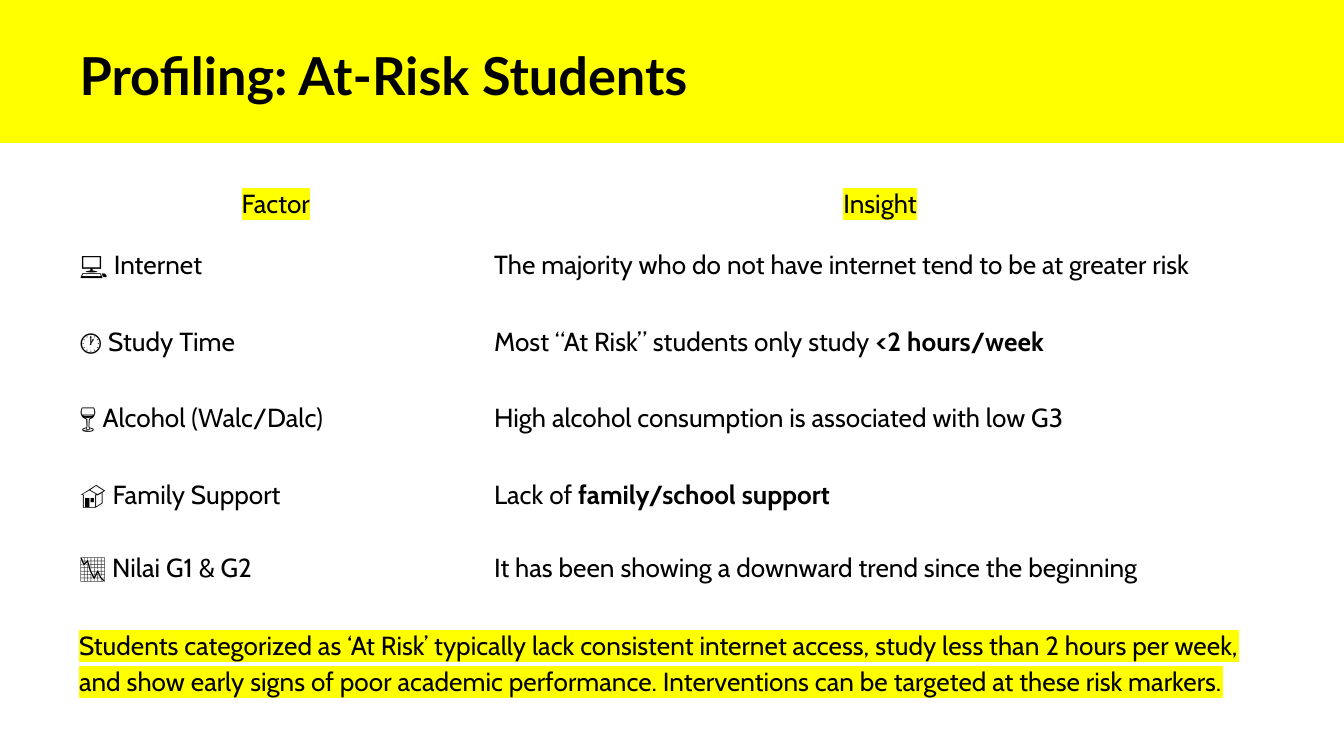
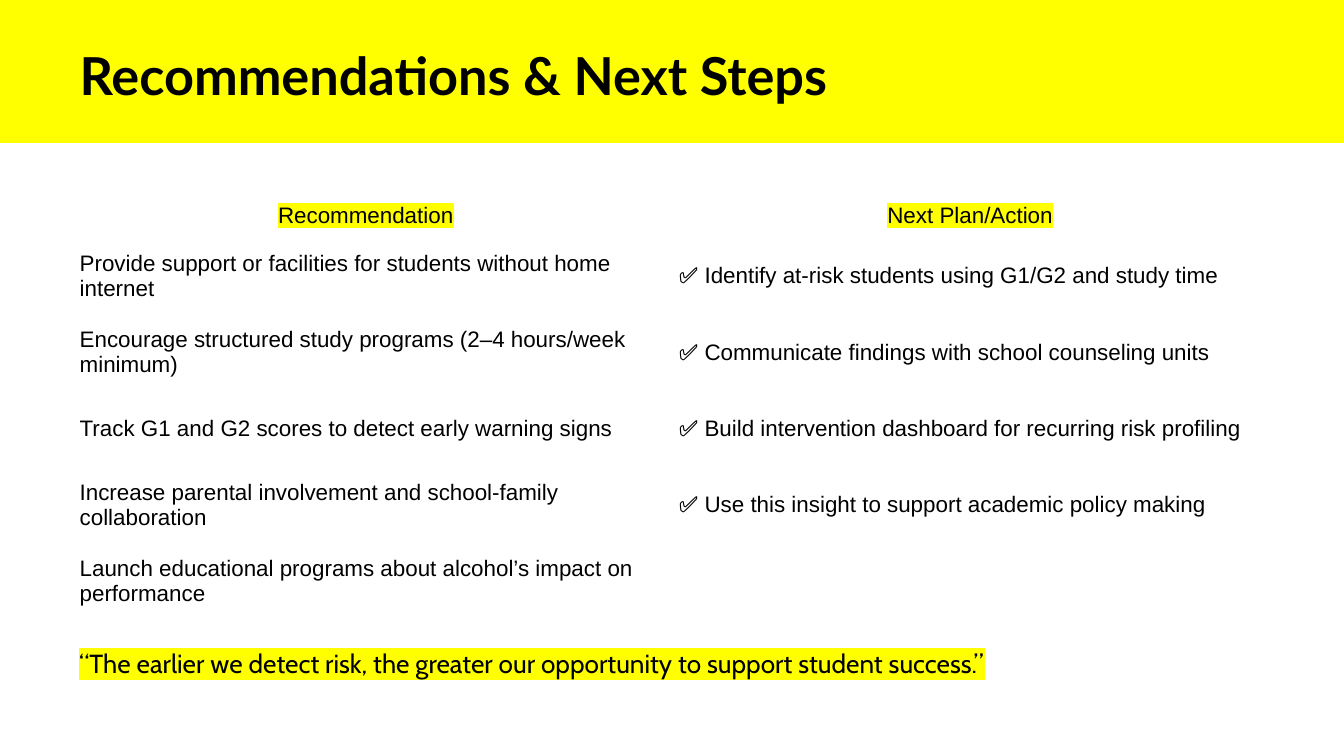
from dataclasses import dataclass

from lxml.etree import SubElement
from pptx import Presentation
from pptx.dml.color import RGBColor
from pptx.enum.shapes import MSO_SHAPE
from pptx.enum.text import MSO_ANCHOR, MSO_AUTO_SIZE, PP_ALIGN
from pptx.oxml.ns import qn
from pptx.util import Pt


@dataclass(frozen=True)
class Theme:
    ink: str = "000000"
    accent: str = "FFFF00"
    title_font: str = "Lato"
    text_font: str = "Cabin"
    plain_font: str = "Arial"
    title_size: float = 28
    text_size: float = 14
    plain_size: float = 12


THEME = Theme()
SLIDE_SIZE = (720, 405)
BAND_BOX = (0, 0, 720, 76.5)
TITLE_BOX = (35.5, 16, 647.5, 44)
CLOSING_BOX = (24.5, 332, 647.5, 44)
FRAME_INSET = 7.2
CELL_INSET = 3.6
HEADER_HEIGHT = 23.75

FACTORS = [
    ("Factor", "Insight"),
    ("💻 Internet", "The majority who do not have internet tend to be at greater risk"),
    ("🕐 Study Time", "Most “At Risk” students only study **<2 hours/week**"),
    ("🍷 Alcohol (Walc/Dalc)", "High alcohol consumption is associated with low G3"),
    ("🏠 Family Support", "Lack of **family/school support**"),
    ("📉 Nilai G1 & G2", "It has been showing a downward trend since the beginning"),
]
RISK_SUMMARY = (
    "Students categorized as ‘At Risk’ typically lack consistent internet access, "
    "study less than 2 hours per week, and show early signs of poor academic "
    "performance. Interventions can be targeted at these risk markers."
)
ACTIONS = [
    ("Recommendation", "Next Plan/Action"),
    ("Provide support or facilities for students without home internet",
     "✅ Identify at-risk students using G1/G2 and study time"),
    ("Encourage structured study programs (2–4 hours/week minimum)",
     "✅ Communicate findings with school counseling units"),
    ("Track G1 and G2 scores to detect early warning signs",
     "✅ Build intervention dashboard for recurring risk profiling"),
    ("Increase parental involvement and school-family collaboration",
     "✅ Use this insight to support academic policy making"),
    ("Launch educational programs about alcohol’s impact on performance", ""),
]
CLOSING_QUOTE = (
    "“The earlier we detect risk, the greater our opportunity to support student success.”"
)


def points(lengths):
    return [Pt(length) for length in lengths]


def write(frame, text, *, font=THEME.text_font, size=THEME.text_size, bold=False,
          highlight=False, align=PP_ALIGN.LEFT, spacing=None, indent=0):
    paragraph = frame.paragraphs[0]
    paragraph.alignment = align
    if spacing:
        paragraph.line_spacing = spacing
    if indent:
        paragraph._p.get_or_add_pPr().set("marL", str(Pt(indent)))
    for position, piece in enumerate(text.split("**")):
        if not piece:
            continue
        run = paragraph.add_run()
        run.text = piece
        run.font.size = Pt(size)
        run.font.bold = bold or position % 2 == 1
        run.font.color.rgb = RGBColor.from_string(THEME.ink)
        run.font.name = font
        if highlight:
            properties = run._r.get_or_add_rPr()
            marker = SubElement(properties, qn("a:highlight"))
            SubElement(marker, qn("a:srgbClr")).set("val", THEME.accent)
            properties.find(qn("a:solidFill")).addnext(marker)


def fit_frame(frame, anchor):
    frame.word_wrap = True
    frame.auto_size = MSO_AUTO_SIZE.NONE
    frame.vertical_anchor = anchor
    frame.margin_left = frame.margin_right = Pt(FRAME_INSET)
    frame.margin_top = frame.margin_bottom = Pt(FRAME_INSET)


def add_heading(slide, text, band_box, title_box):
    band = slide.shapes.add_shape(MSO_SHAPE.RECTANGLE, *points(band_box))
    band.shadow.inherit = False
    band.fill.solid()
    band.fill.fore_color.rgb = RGBColor.from_string(THEME.accent)
    band.line.fill.background()
    title = slide.shapes.title
    title._element.addprevious(band._element)
    title.left, title.top, title.width, title.height = points(title_box)
    fit_frame(title.text_frame, MSO_ANCHOR.TOP)
    write(title.text_frame, text, font=THEME.title_font, size=THEME.title_size, bold=True)


def add_comparison(slide, rows, box, first_width, last_height, side_inset, font, size):
    left, top, width, height = box
    table = slide.shapes.add_table(len(rows), 2, *points(box)).table
    table.first_row = table.horz_banding = False
    for column, column_width in zip(table.columns, (first_width, width - first_width)):
        column.width = Pt(column_width)
    middle_count = len(rows) - 2
    middle_height = (height - HEADER_HEIGHT - last_height) / middle_count
    heights = [HEADER_HEIGHT] + [middle_height] * middle_count + [last_height]
    for index, (texts, row_height) in enumerate(zip(rows, heights)):
        table.rows[index].height = Pt(row_height)
        is_header = index == 0
        for cell, text in zip(table.rows[index].cells, texts):
            cell.fill.background()
            cell.vertical_anchor = MSO_ANCHOR.MIDDLE
            cell.margin_left = cell.margin_right = Pt(side_inset)
            cell.margin_top = cell.margin_bottom = Pt(CELL_INSET)
            write(cell.text_frame, text, font=font, size=size, highlight=is_header,
                  align=PP_ALIGN.CENTER if is_header else PP_ALIGN.LEFT)


def add_closing(slide, text, box):
    closing = slide.shapes.add_textbox(*points(box))
    fit_frame(closing.text_frame, MSO_ANCHOR.MIDDLE)
    write(closing.text_frame, text, highlight=True, spacing=1.15, indent=10.8)


def add_table_slide(deck, title, rows, closing, **table_format):
    slide = deck.slides.add_slide(deck.slide_layouts.get_by_name("Title Only"))
    add_heading(slide, title, BAND_BOX, TITLE_BOX)
    add_comparison(slide, rows, **table_format)
    add_closing(slide, closing, CLOSING_BOX)


def main():
    deck = Presentation()
    deck.slide_width, deck.slide_height = points(SLIDE_SIZE)
    add_table_slide(
        deck, "Profiling: At-Risk Students", FACTORS, RISK_SUMMARY,
        box=(36.75, 97.25, 647.5, 226), first_width=222, last_height=38.25,
        side_inset=6, font=THEME.text_font, size=THEME.text_size,
    )
    add_table_slide(
        deck, "Recommendations & Next Steps", ACTIONS, CLOSING_QUOTE,
        box=(35.5, 103.75, 647.5, 228), first_width=321, last_height=40.85,
        side_inset=7.2, font=THEME.plain_font, size=THEME.plain_size,
    )
    deck.save("out.pptx")


if __name__ == "__main__":
    main()
